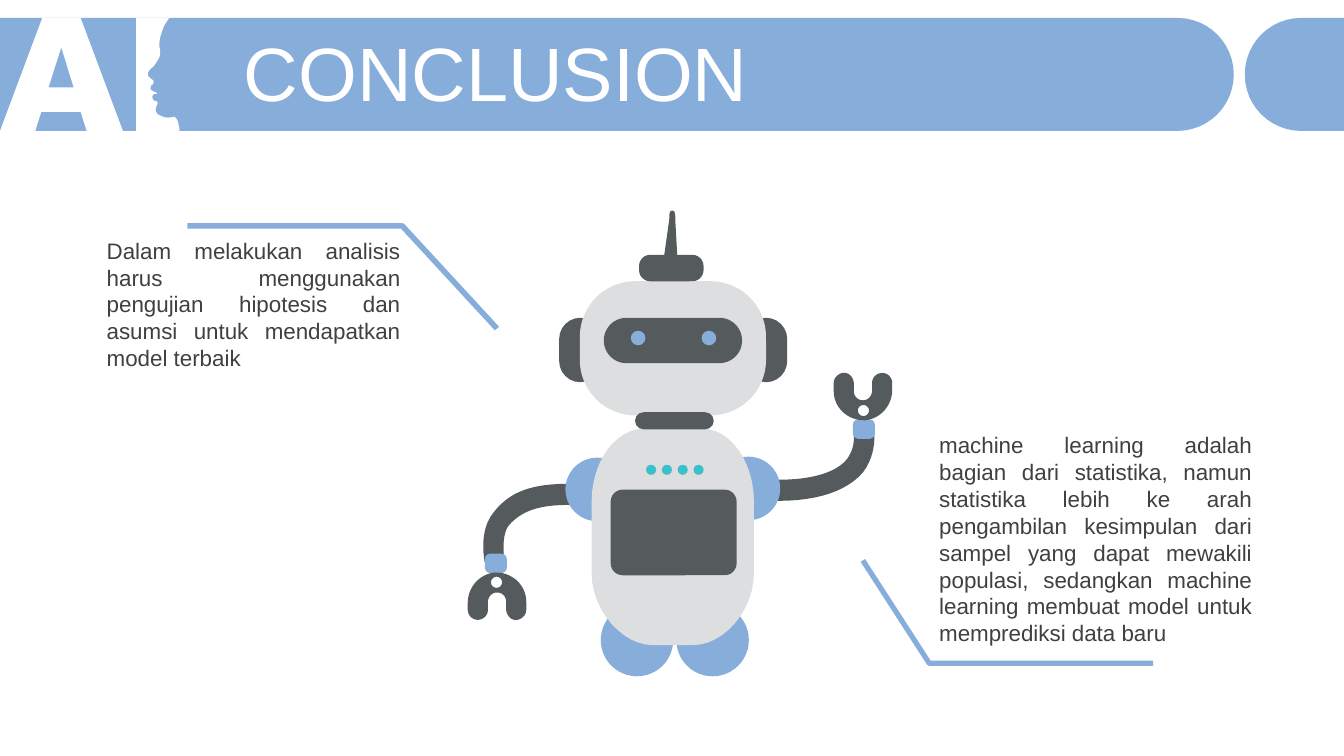
from pptx import Presentation
from pptx.dml.color import RGBColor
from pptx.enum.shapes import MSO_SHAPE as Preset
from pptx.enum.text import MSO_ANCHOR as Anchor, MSO_AUTO_SIZE as AutoSize, PP_ALIGN as Align
from pptx.util import Pt

BLUE, GRAPHITE, SILVER = "87ADDB", "555A5C", "DCDEDF"
TEAL, WHITE, INK = "3BC0CB", "FFFFFF", "404040"

BAR = ("M 0 12.8 L 841 12.8 C 863.3 12.8 881.3 30.8 881.3 53.2 "
       "C 881.3 75.5 863.3 93.5 841 93.5 L 0 93.5 Z")
BAR_END = ("M 960 12.8 L 929.5 12.8 C 907.2 12.8 889.2 30.8 889.2 53.2 "
           "C 889.2 75.5 907.2 93.5 929.5 93.5 L 960 93.5 Z")
LETTER_A = ("M 30.2 12.8 L 57.6 12.8 L 87.8 93.5 L 61.9 93.5 L 57.6 79.9 L 29.5 79.9 "
            "L 25.2 93.5 L 0 93.5 Z M 43.8 33.8 L 34.7 62.4 L 52.6 62.4 Z")
PROFILE = ("M 97.2 12.8 L 121 12.8 C 118 16.6 116.2 20.2 115.9 22.3 "
           "C 114.5 25.5 113.8 29 113.8 33.1 C 114.5 36 114.5 37.5 114.3 39.6 L 113.8 41 "
           "C 113 42.5 110.2 47.5 108.7 48.2 C 106.6 49.7 105.1 52.6 105.8 54 "
           "C 106.6 55.4 108 56.2 108.7 56.9 C 109.4 56.9 110.2 58.3 109.4 59.8 "
           "C 109.4 60.5 108 60.5 108 61.2 C 107.3 62.6 107.3 64.1 108.7 64.8 "
           "C 110.2 65.5 112.3 66.2 112.3 67 C 112.3 67 109.4 67 109.4 67.7 "
           "C 108.7 68.4 108.7 69.8 109.4 71.3 C 109.4 72 111.6 72 112.3 72.7 "
           "C 113 74.2 112.3 74.2 111.6 76.3 C 110.9 78.5 110.9 81.4 115.2 82.8 "
           "C 118.1 84.2 121 84.2 123.8 83.5 L 125.3 83.5 L 125.3 84.2 "
           "C 126.7 85 126.7 86.4 127.4 87.8 C 127.4 89.3 128.2 90.7 128.2 92.2 "
           "L 128.2 93.5 L 97.2 93.5 Z")
LOWERED_ARM = ("M 406.1 345.6 C 378 345.6 363.6 352.1 352.8 365.8 "
               "C 341.3 379.4 346.3 401 346.3 401.8 L 360.7 401 L 360.7 403.2 "
               "C 360.7 402.5 357.1 383 363.6 375.1 C 372.2 365.8 383 360.7 406.1 360.7 "
               "C 410.4 360.7 413.3 357.1 413.3 352.8 C 414 348.5 410.4 345.6 406.1 345.6 Z")
RAISED_ARM = ("M 555.8 357.8 C 584.6 357.8 604.8 350.6 616.3 337.7 "
              "C 627.1 323.3 624.2 308.2 624.2 307.4 L 609.8 310.3 "
              "C 609.8 311 611.3 319.7 604.8 328.3 C 596.9 337.7 579.6 342.7 556.6 342.7 "
              "C 552.2 342.7 548.6 346.3 548.6 349.9 C 548.6 354.2 551.5 357.8 555.8 357.8 Z")
CLAW = ("M 0 7.2 L 0 13 C 0 25.2 10.8 34.6 23 33.8 C 33.8 32.4 41.8 23 41.8 12.2 "
        "L 41.8 7.2 C 41.8 3.6 38.9 0 34.6 0 C 31 0 27.4 2.9 27.4 7.2 L 27.4 13 "
        "C 27.4 15.8 25.2 18.7 22.3 19.4 C 18 20.2 14.4 17.3 14.4 13 L 14.4 7.9 "
        "C 14.4 4.3 12.2 0.7 8.6 0 C 4.3 -0.7 0 2.9 0 7.2 Z "
        "M 17.3 26.8 C 17.3 24.6 19.1 22.9 21.2 22.9 C 23.4 22.9 25.2 24.6 25.2 26.8 "
        "C 25.2 29 23.4 30.8 21.2 30.8 C 19.1 30.8 17.3 29 17.3 26.8 Z")
TORSO = ("M 501.8 306 C 522 306.7 538.6 329.8 538.6 358.6 L 538.6 409 "
         "C 538.6 437 516.2 460.8 495.4 460.8 L 465.8 460.8 "
         "C 445.7 460.8 422.6 437 422.6 409 L 422.6 358.6 "
         "C 422.6 329.8 439.2 306.7 460.1 306 Z")
ANTENNA = ("M 478.1 157 L 474.5 182.2 C 474.5 185.8 476.6 188.6 478.8 188.6 "
           "C 481.7 188.6 483.8 186.5 483.8 182.9 L 482.4 157 "
           "C 482.4 153.4 482.4 150.5 480.2 150.5 C 478.1 150.5 478.1 153.4 478.1 157 Z")


def colour(code):
    return RGBColor.from_string(code)


def bezier(points, steps=12):
    for step in range(1, steps + 1):
        t = step / steps
        weights = ((1 - t) ** 3, 3 * t * (1 - t) ** 2, 3 * t * t * (1 - t), t ** 3)
        yield tuple(sum(w * p[axis] for w, p in zip(weights, points)) for axis in (0, 1))


def contours(drawing):
    tokens = iter(drawing.split())
    point = lambda: (float(next(tokens)), float(next(tokens)))
    found = []
    for command in tokens:
        if command == "M":
            found.append([point()])
        elif command == "L":
            found[-1].append(point())
        elif command == "C":
            found[-1].extend(bezier([found[-1][-1], point(), point(), point()]))
    return found


class Deck:
    font = "Arial"

    def __init__(self, width, height):
        self.show = Presentation()
        self.show.slide_width, self.show.slide_height = Pt(width), Pt(height)
        self.slide = self.show.slides.add_slide(self.show.slide_layouts[5])
        self.shapes = self.slide.shapes

    def paint(self, shape, fill):
        shape.shadow.inherit = False
        shape.fill.solid()
        shape.fill.fore_color.rgb = colour(fill)
        shape.line.fill.background()

    def trace(self, outlines, left, top, close):
        pen = None
        for outline in outlines:
            start, *rest = [(Pt(x), Pt(y)) for x, y in outline]
            if pen is None:
                pen = self.shapes.build_freeform(*start)
            else:
                pen.move_to(*start)
            pen.add_line_segments(rest, close=close)
        return pen.convert_to_shape(Pt(left), Pt(top))

    def outline(self, drawing, fill, left=0, top=0, rotation=0):
        shape = self.trace(contours(drawing), left, top, True)
        shape.rotation = rotation
        self.paint(shape, fill)

    def leader(self, points, weight):
        shape = self.trace([points], 0, 0, False)
        shape.shadow.inherit = False
        shape.fill.background()
        shape.line.color.rgb = colour(BLUE)
        shape.line.width = Pt(weight)

    def circle(self, left, top, size, fill):
        self.paint(self.shapes.add_shape(Preset.OVAL, Pt(left), Pt(top), Pt(size), Pt(size)), fill)

    def rounded(self, left, top, width, height, radius, fill):
        shape = self.shapes.add_shape(Preset.ROUNDED_RECTANGLE, Pt(left), Pt(top), Pt(width), Pt(height))
        shape.adjustments[0] = radius / min(width, height)
        self.paint(shape, fill)

    def set_text(self, shape, text, size, ink, frame_format, paragraph_format):
        frame = shape.text_frame
        frame.text = text
        paragraph = frame.paragraphs[0]
        font_format = {"name": self.font, "size": Pt(size)}
        for target, values in ((frame, frame_format), (paragraph, paragraph_format),
                               (paragraph.runs[0].font, font_format)):
            for name, value in values.items():
                setattr(target, name, value)
        paragraph.runs[0].font.color.rgb = colour(ink)

    def title(self, text, left, top, width, height):
        shape = self.shapes.title
        box = {"left": left, "top": top, "width": width, "height": height}
        for name, value in box.items():
            setattr(shape, name, Pt(value))
        self.shapes._spTree.append(shape._element)
        self.set_text(shape, text, 54, WHITE,
                      {"word_wrap": True, "vertical_anchor": Anchor.MIDDLE, "auto_size": AutoSize.NONE},
                      {"alignment": Align.LEFT, "line_spacing": 0.9, "space_before": Pt(10)})

    def note(self, text, left, top, width, height):
        shape = self.shapes.add_textbox(Pt(left), Pt(top), Pt(width), Pt(height))
        self.set_text(shape, text, 16, INK,
                      {"word_wrap": True, "auto_size": AutoSize.SHAPE_TO_FIT_TEXT},
                      {"alignment": Align.JUSTIFY})


def draw_header(deck):
    for drawing, fill in ((BAR, BLUE), (LETTER_A, WHITE), (PROFILE, WHITE), (BAR_END, BLUE)):
        deck.outline(drawing, fill)
    deck.title("CONCLUSION", 167, 26.6, 769.7, 56.9)


def draw_robot(deck):
    for foot in (483.1, 429.1):
        deck.circle(foot, 431.3, 51.8, BLUE)
    for arm, cuff, claw, turn in ((LOWERED_ARM, (346.3, 395.4), (334.1, 409), 180),
                                  (RAISED_ARM, (609.2, 299.5), (595.5, 266.4), 0)):
        deck.outline(arm, GRAPHITE)
        deck.rounded(*cuff, 15.8, 14, 4, BLUE)
        deck.outline(CLAW, GRAPHITE, *claw, turn)
    for shoulder in ((511.9, 326.2), (403.9, 326.9)):
        deck.circle(*shoulder, 45.4, BLUE)
    deck.outline(TORSO, SILVER)
    for ear in (532.1, 399.4):
        deck.rounded(ear, 227, 30.2, 46, 15.1, GRAPHITE)
    deck.rounded(414.2, 200.9, 133, 95.8, 39.6, SILVER)
    deck.rounded(456.5, 182, 46.1, 18.9, 8, GRAPHITE)
    deck.outline(ANTENNA, GRAPHITE)
    for button in range(4):
        deck.circle(461.5 + 11.3 * button, 332, 7.2, TEAL)
    deck.rounded(431.3, 227, 98.8, 32.4, 16.2, GRAPHITE)
    for eye in (450.6, 501.2):
        deck.circle(eye, 236.2, 10.5, BLUE)
    deck.rounded(453.6, 294.5, 56.2, 12.2, 6.1, GRAPHITE)
    deck.rounded(436.2, 349.7, 90, 61.2, 8.6, GRAPHITE)


def main():
    deck = Deck(960, 540)
    draw_header(deck)
    draw_robot(deck)
    deck.leader([(355, 234.7), (287.3, 161.3), (133.9, 161.3)], 4)
    deck.leader([(616.3, 400.3), (663.8, 473.8), (823.7, 473.8)], 3.75)
    deck.note("machine learning adalah bagian dari statistika, namun statistika lebih ke arah "
              "pengambilan kesimpulan dari sampel yang dapat mewakili populasi, sedangkan "
              "machine learning membuat model untuk memprediksi data baru",
              663.8, 304.6, 237.6, 162)
    deck.note("Dalam melakukan analisis harus menggunakan pengujian hipotesis dan asumsi "
              "untuk mendapatkan model terbaik", 69.1, 165.6, 223.9, 104.4)
    deck.show.save("out.pptx")


if __name__ == "__main__":
    main()
